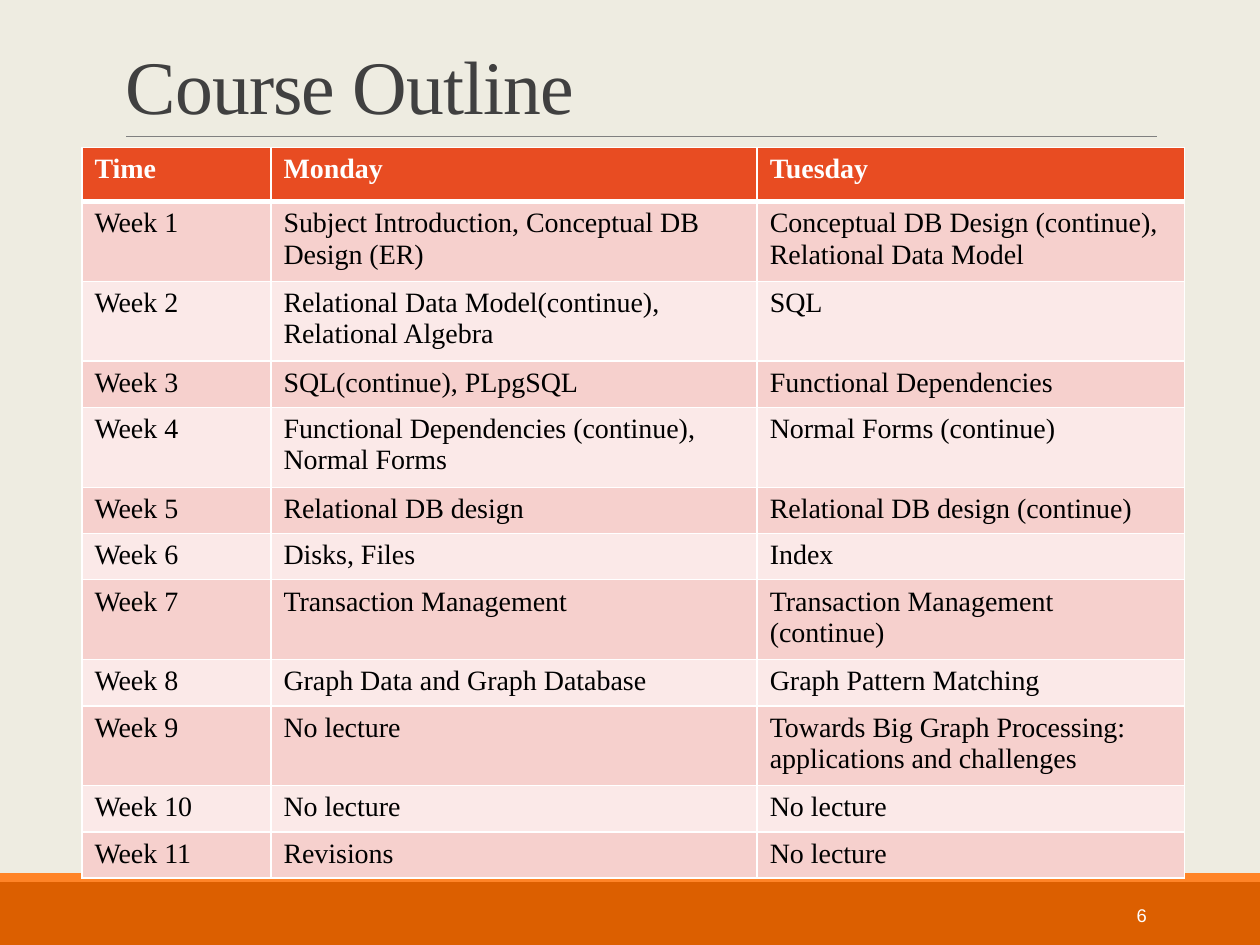
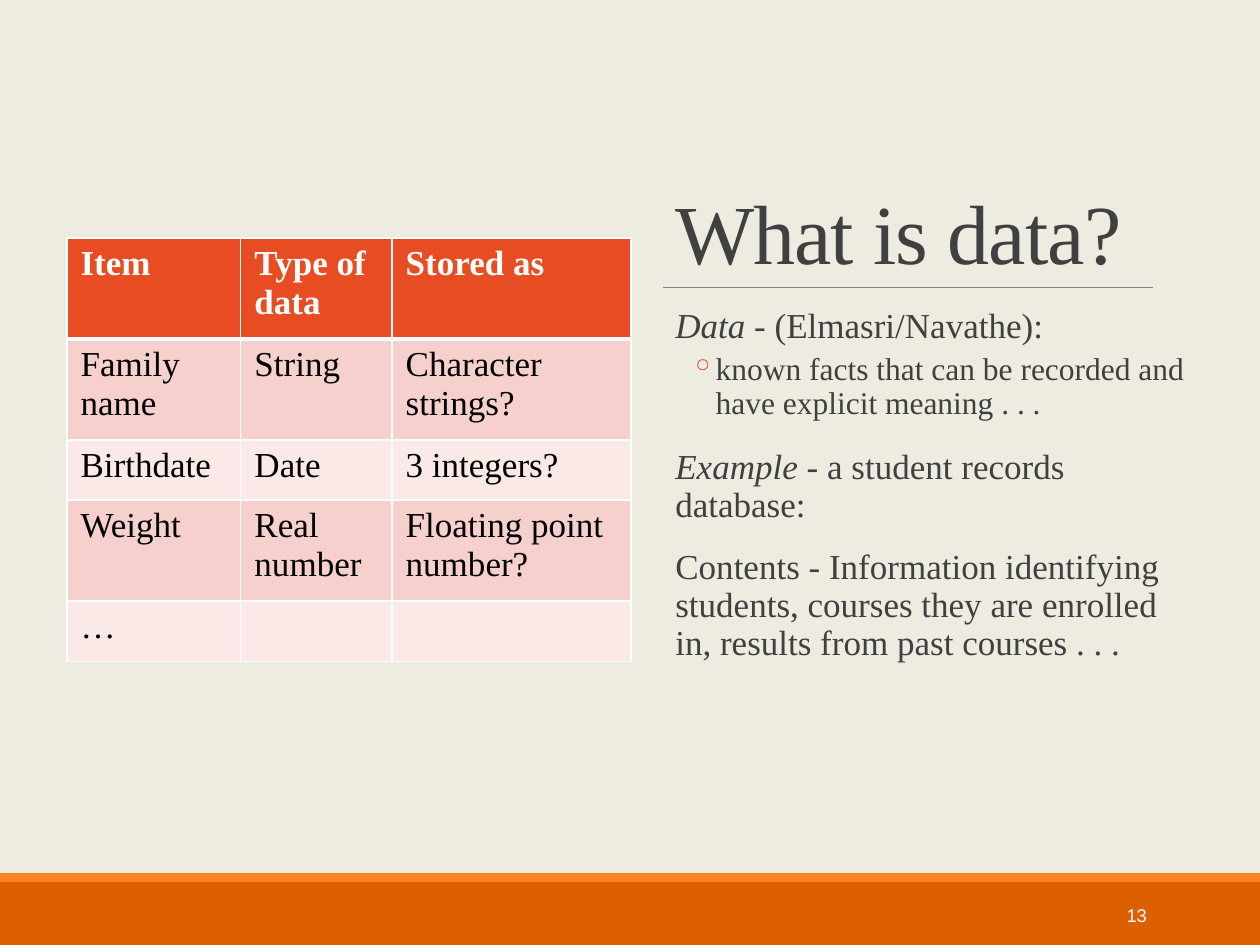
"""Builds two database lecture slides: the course outline and a definition of data."""
from dataclasses import dataclass

from lxml import etree
from pptx import Presentation
from pptx import util as u
from pptx.dml.color import RGBColor
from pptx.enum import shapes, text
from pptx.oxml.ns import qn


@dataclass(frozen=True)
class Theme:
    page: str = "EEECE1"
    band: str = "DC5F00"
    stripe: str = "FF8427"
    rule: str = "808080"
    ink: str = "404040"
    cell_ink: str = "000000"
    white: str = "FFFFFF"
    accent: str = "E84C22"
    row_tints: tuple = ("F6D0CD", "FBE9E8")
    serif: str = "Times New Roman"
    sans: str = "Arial"
    outline_title: float = 43.2
    data_title: float = 48
    outline_cell: float = 16
    body: float = 20
    detail: float = 18
    number: float = 10.5


class Deck:
    def __init__(self, theme):
        self.theme = theme
        self.show = Presentation()
        self.show.slide_width = u.Inches(10)
        self.show.slide_height = u.Inches(7.5)

    def start(self, number):
        self.slide = self.show.slides.add_slide(self.show.slide_layouts[6])
        background = self.slide.background.fill
        background.solid()
        background.fore_color.rgb = RGBColor.from_string(self.theme.page)
        self.band(7, 0.5, self.theme.band)
        self.band(6.93, 0.07, self.theme.stripe)
        frame = self.frame(8.12, 7.06, 1.08, 0.4, text.MSO_ANCHOR.MIDDLE)
        footer = frame.paragraphs[0]
        footer.text = str(number)
        footer.alignment = text.PP_ALIGN.RIGHT
        self.style(footer, self.theme.number, self.theme.white, self.theme.sans)

    def band(self, top, height, color):
        band = self.slide.shapes.add_shape(
            shapes.MSO_SHAPE.RECTANGLE, 0, u.Inches(top),
            self.show.slide_width, u.Inches(height))
        band.shadow.inherit = False
        band.fill.solid()
        band.fill.fore_color.rgb = RGBColor.from_string(color)
        band.line.fill.background()

    def frame(self, left, top, width, height, anchor):
        box = self.slide.shapes.add_textbox(*map(u.Inches, (left, top, width, height)))
        box.text_frame.word_wrap = True
        box.text_frame.vertical_anchor = anchor
        return box.text_frame

    def style(self, paragraph, size, color, face=None, bold=False):
        font = paragraph.font
        font.size = u.Pt(size)
        font.name = face or self.theme.serif
        font.bold = bold
        font.color.rgb = RGBColor.from_string(color)

    def title(self, wording, size, left, top, width, height):
        heading = self.frame(left, top, width, height, text.MSO_ANCHOR.BOTTOM).paragraphs[0]
        heading.line_spacing = 0.85
        run = heading.add_run()
        run.text = wording
        run._r.get_or_add_rPr().set("spc", "-50")
        self.style(heading, size, self.theme.ink)

    def rule(self, left, right, top):
        rule = self.slide.shapes.add_connector(
            shapes.MSO_CONNECTOR.STRAIGHT, *map(u.Inches, (left, top, right, top)))
        rule.line.color.rgb = RGBColor.from_string(self.theme.rule)
        rule.line.width = u.Pt(0.5)
        etree.SubElement(rule._element.spPr, qn("a:effectLst"))

    def body(self, entries, left, top, width, height):
        frame = self.frame(left, top, width, height, text.MSO_ANCHOR.TOP)
        frame.margin_left = frame.margin_right = 0
        for index, (term, wording, detail) in enumerate(entries):
            paragraph = frame.add_paragraph() if index else frame.paragraphs[0]
            paragraph.line_spacing = 0.9
            if index:
                paragraph.space_before = u.Pt(2 if detail else 12)
            paragraph.space_after = u.Pt(4 if detail else 2)
            self.indent(paragraph, detail)
            for part, italic in ((term, True), (wording, False)):
                if part:
                    run = paragraph.add_run()
                    run.text = part
                    run.font.italic = italic
            self.style(paragraph, self.theme.detail if detail else self.theme.body, self.theme.ink)

    def indent(self, paragraph, bulleted):
        properties = paragraph._p.get_or_add_pPr()
        properties.set("marL", str(u.Inches(0.42 if bulleted else 0.1)))
        properties.set("indent", str(u.Inches(-0.2 if bulleted else 0)))
        if bulleted:
            color = etree.SubElement(properties, qn("a:buClr"))
            etree.SubElement(color, qn("a:srgbClr"), val=self.theme.accent)
            etree.SubElement(properties, qn("a:buChar"), char="◦")

    def table(self, rows, left, top, widths, heights, size, margin):
        grid = self.slide.shapes.add_table(
            len(rows), len(widths),
            *map(u.Inches, (left, top, sum(widths), sum(heights)))).table
        for column, width in zip(grid.columns, widths):
            column.width = u.Inches(width)
        for index, (row, height, wordings) in enumerate(zip(grid.rows, heights, rows)):
            row.height = u.Inches(height)
            header = index == 0
            fill = self.theme.accent if header else self.theme.row_tints[(index - 1) % 2]
            ink = self.theme.white if header else self.theme.cell_ink
            for cell, wording in zip(row.cells, wordings):
                cell.text = wording
                cell.margin_left = cell.margin_right = u.Inches(margin)
                self.borders(cell, top=3 if index == 1 else 1, bottom=3 if header else 1)
                cell.fill.solid()
                cell.fill.fore_color.rgb = RGBColor.from_string(fill)
                for paragraph in cell.text_frame.paragraphs:
                    self.style(paragraph, size, ink, bold=header)

    def borders(self, cell, top, bottom):
        properties = cell._tc.get_or_add_tcPr()
        for side, width in (("L", 1), ("R", 1), ("T", top), ("B", bottom)):
            edge = etree.SubElement(properties, qn(f"a:ln{side}"), w=str(u.Pt(width)))
            paint = etree.SubElement(edge, qn("a:solidFill"))
            etree.SubElement(paint, qn("a:srgbClr"), val=self.theme.white)


SCHEDULE = [
    ("Subject Introduction, Conceptual DB Design (ER)",
     "Conceptual DB Design (continue), Relational Data Model"),
    ("Relational Data Model(continue), Relational Algebra", "SQL"),
    ("SQL(continue), PLpgSQL", "Functional Dependencies"),
    ("Functional Dependencies (continue),\nNormal Forms", "Normal Forms (continue)"),
    ("Relational DB design", "Relational DB design (continue)"),
    ("Disks, Files", "Index"),
    ("Transaction Management", "Transaction Management (continue)"),
    ("Graph Data and Graph Database", "Graph Pattern Matching"),
    ("No lecture", "Towards Big Graph Processing: applications and challenges"),
    ("No lecture", "No lecture"),
    ("Revisions", "No lecture"),
]
TWO_LINE_WEEKS = (2, 4, 7, 9)

DATA_ITEMS = [
    ("Item", "Type of data", "Stored as"),
    ("Family name", "String", "Character strings?"),
    ("Birthdate", "Date", "3 integers?"),
    ("Weight", "Real number", "Floating point number?"),
    ("…", "", ""),
]
DEFINITION = [
    ("Data", " - (Elmasri/Navathe):", False),
    ("", "known facts that can be recorded and have explicit meaning . . .", True),
    ("Example", " - a student records database:", False),
    ("", "Contents - Information identifying students, courses they are enrolled in, "
         "results from past courses . . .", False),
]


def course_outline(deck):
    deck.start(6)
    deck.rule(1, 9.18, 1.08)
    deck.title("Course Outline", deck.theme.outline_title, 0.9, 0.31, 8.25, 0.77)
    weeks = [(f"Week {week}", *topics) for week, topics in enumerate(SCHEDULE, 1)]
    heights = [0.43, 0.63] + [0.6 if week in TWO_LINE_WEEKS else 0.35
                              for week in range(2, len(weeks) + 1)]
    deck.table([("Time", "Monday", "Tuesday"), *weeks], 0.65, 1.17,
               (1.5, 3.86, 3.39), heights, deck.theme.outline_cell, 0.1)


def what_is_data(deck):
    deck.start(13)
    deck.title("What is data?", deck.theme.data_title, 5.26, 0.69, 4.21, 1.59)
    deck.rule(5.26, 9.15, 2.28)
    deck.body(DEFINITION, 5.26, 2.4, 4.21, 4.01)
    deck.table(DATA_ITEMS, 0.53, 1.89, (1.38, 1.2, 1.9),
               (0.8, 0.8, 0.48, 0.8, 0.48), deck.theme.body, 0.11)


def main():
    deck = Deck(Theme())
    course_outline(deck)
    what_is_data(deck)
    deck.show.save("out.pptx")


if __name__ == "__main__":
    main()
